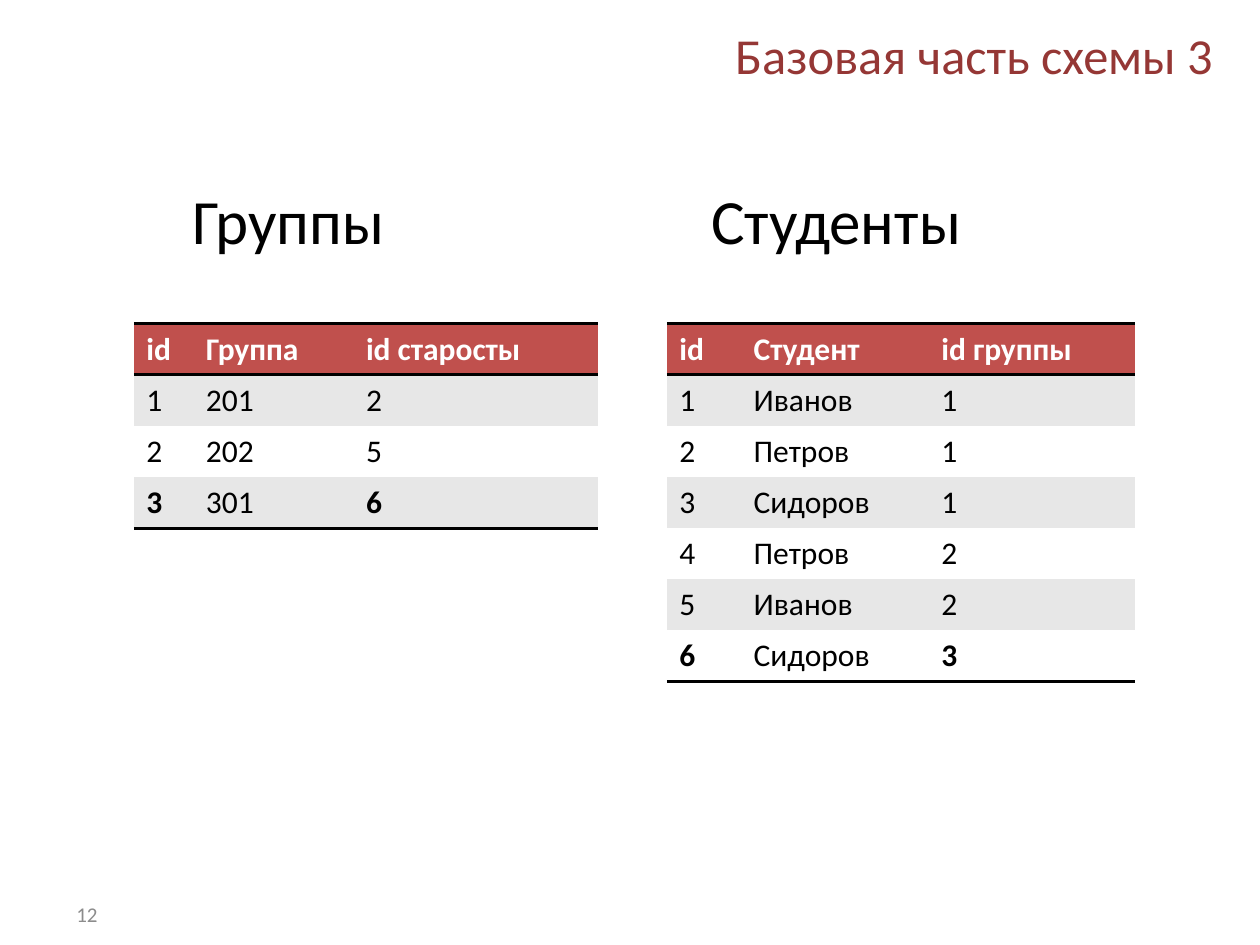
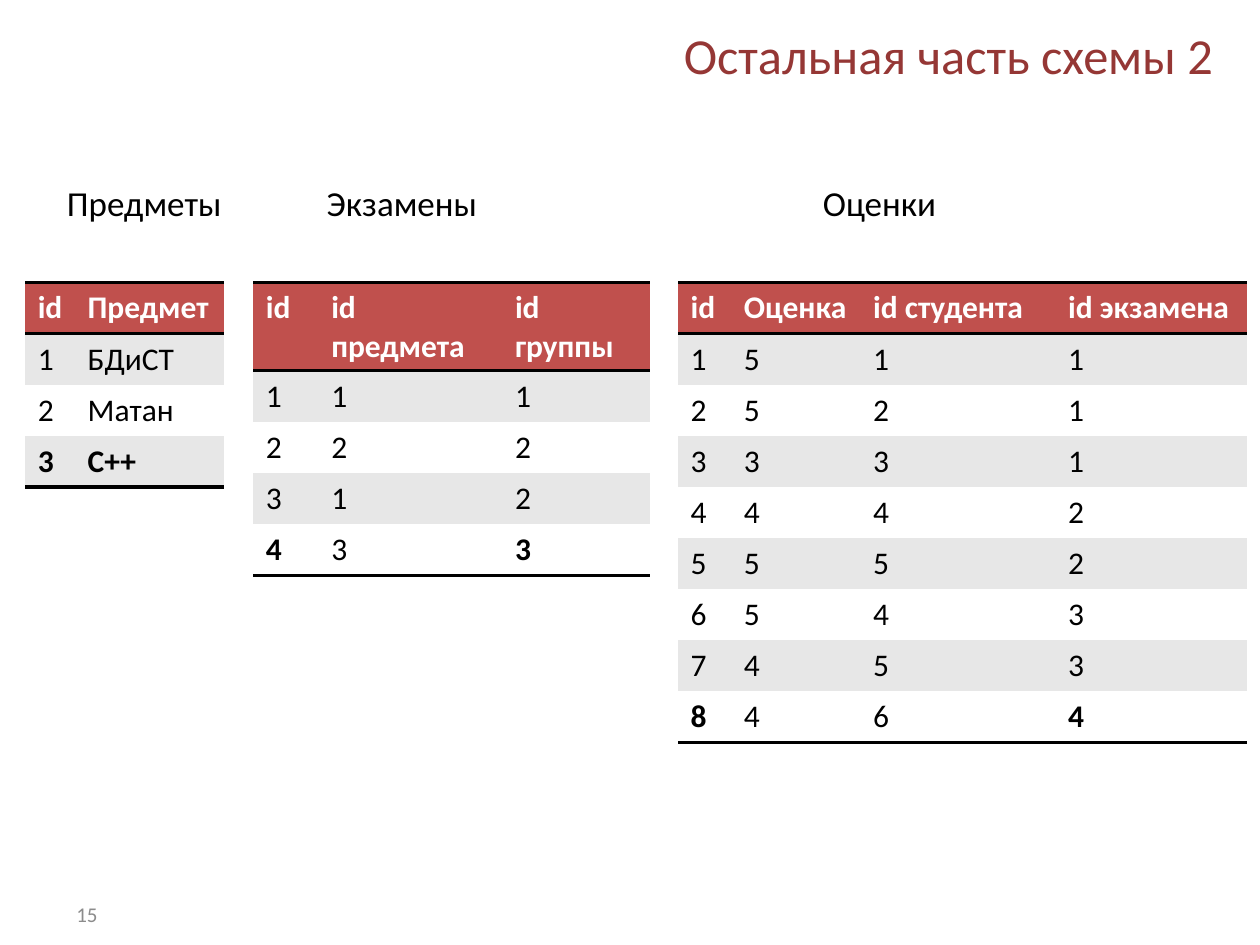
import pptx
import pptx.util
import pptx.dml.color
import pptx.enum.text
import pptx.oxml
import pptx.oxml.ns
from lxml import etree

Pt = pptx.util.Pt
ALIGN = pptx.enum.text.PP_ALIGN
MIDDLE = pptx.enum.text.MSO_ANCHOR.MIDDLE
qn = pptx.oxml.ns.qn

FONT = "Calibri"
HUES = {"title": "953735", "text": "000000", "page": "8C8C8C", "head": "C0504D",
        "label": "FFFFFF", "odd": "E7E7E7", "even": "FFFFFF", "rule": "000000"}
TITLE = (190, 14.5, 510.5, 33)
BODY = (31, 100, 654, 356.5)
PAGE = (36.5, 508, 168, 29)
TAB = 72
ROW = 29.2
RULE = 2
PLAIN = "{2D5ABB26-0587-4C30-8999-92F81FD0307C}"  # table style without grid

# Each table: left edge, column widths, rows
SLIDES = [
    {"title": "Базовая часть схемы 3", "page": "12", "size": 36, "top": 185,
     "names": ["\tГруппы", "\t\t\t Студенты"],
     "tables": [
         (76.5, (34, 91.5, 140),
          [("id", "Группа", "id старосты"),
           ("1", "201", "2"),
           ("2", "202", "5"),
           ("3", "301", "6")]),
         (381, (42.5, 107.3, 118),
          [("id", "Студент", "id группы"),
           ("1", "Иванов", "1"),
           ("2", "Петров", "1"),
           ("3", "Сидоров", "1"),
           ("4", "Петров", "2"),
           ("5", "Иванов", "2"),
           ("6", "Сидоров", "3")]),
     ]},
    {"title": "Остальная часть схемы 2", "page": "15", "size": 20, "top": 161.5,
     "names": ["Предметы", "\t Экзамены", "\t\t\tОценки"],
     "tables": [
         (14.4, (28.5, 85),
          [("id", "Предмет"),
           ("1", "БДиСТ"),
           ("2", "Матан"),
           ("3", "С++")]),
         (144.7, (37.4, 105, 84.3),
          [("id", "id предмета", "id группы"),
           ("1", "1", "1"),
           ("2", "2", "2"),
           ("3", "1", "2"),
           ("4", "3", "3")]),
         (387.5, (30.4, 73.9, 111.4, 109.5),
          [("id", "Оценка", "id студента", "id экзамена"),
           ("1", "5", "1", "1"),
           ("2", "5", "2", "1"),
           ("3", "3", "3", "1"),
           ("4", "4", "4", "2"),
           ("5", "5", "5", "2"),
           ("6", "5", "4", "3"),
           ("7", "4", "5", "3"),
           ("8", "4", "6", "4")]),
     ]},
]


def tint(name):
    return pptx.dml.color.RGBColor.from_string(HUES[name])


def place(shape, box):
    shape.left, shape.top, shape.width, shape.height = map(Pt, box)


def write(para, text, size, hue, bold=False):
    run = para.add_run()
    run.text = text
    run.font.name = FONT
    run.font.size = Pt(size)
    run.font.bold = bold
    run.font.color.rgb = tint(hue)


def add_title(slide, text):
    title = slide.shapes.title
    place(title, TITLE)
    title.text_frame.vertical_anchor = MIDDLE
    para = title.text_frame.paragraphs[0]
    para.alignment = ALIGN.RIGHT
    write(para, text, 28.8, "title")


def set_tabs(deck):
    """Give the master's first body level the common tab step."""
    for style in deck.slide_master.element.iter(qn("p:bodyStyle")):
        style.find(qn("a:lvl1pPr")).set("defTabSz", str(Pt(TAB)))


def add_names(slide, names, size):
    """Write the table captions on one line, spread by the tab step."""
    body = slide.placeholders[1]
    place(body, BODY)
    para = body.text_frame.paragraphs[0]
    props = para._p.get_or_add_pPr()
    for key, value in (("marL", 0), ("indent", 0), ("defTabSz", Pt(TAB))):
        props.set(key, str(value))
    etree.SubElement(props, qn("a:buNone"))
    for name in names:
        write(para, name, size, "text")


def add_page(slide, text):
    box = slide.shapes.add_textbox(*map(Pt, PAGE))
    box.text_frame.word_wrap = True
    box.text_frame.vertical_anchor = MIDDLE
    write(box.text_frame.paragraphs[0], text, 12, "page")


def add_rule(cell, sides):
    props = cell._tc.get_or_add_tcPr()
    for spot, side in enumerate(sides):
        line = etree.Element(qn("a:ln" + side), w=str(Pt(RULE)))
        fill = etree.SubElement(line, qn("a:solidFill"))
        etree.SubElement(fill, qn("a:srgbClr"), val=HUES["rule"])
        props.insert(spot, line)


def add_grid(slide, left, top, widths, rows):
    frame = slide.shapes.add_table(len(rows), len(widths), Pt(left), Pt(top),
                                   Pt(sum(widths)), Pt(ROW * len(rows)))
    table = frame.table
    table.horz_banding = False
    table._tbl.tblPr.find(qn("a:tableStyleId")).text = PLAIN
    for col, width in zip(table.columns, widths):
        col.width = Pt(width)
    last = len(rows) - 1
    ends = (0, len(widths) - 1)
    for r, row in enumerate(rows):
        table.rows[r].height = Pt(ROW)
        back = "head" if r == 0 else "odd" if r % 2 else "even"
        for c, text in enumerate(row):
            cell = table.cell(r, c)
            cell.fill.solid()
            cell.fill.fore_color.rgb = tint(back)
            bold = r == 0 or (r == last and c in ends)
            write(cell.text_frame.paragraphs[0], text, 18,
                  "text" if r else "label", bold)
            if r in (0, last):
                add_rule(cell, "B" if r else "TB")


def main():
    deck = pptx.Presentation()
    deck.slide_width, deck.slide_height = Pt(720), Pt(540)
    set_tabs(deck)
    for data in SLIDES:
        slide = deck.slides.add_slide(deck.slide_layouts[1])
        add_title(slide, data["title"])
        add_names(slide, data["names"], data["size"])
        add_page(slide, data["page"])
        for left, widths, rows in data["tables"]:
            add_grid(slide, left, data["top"], widths, rows)
    deck.save("out.pptx")


if __name__ == "__main__":
    main()
